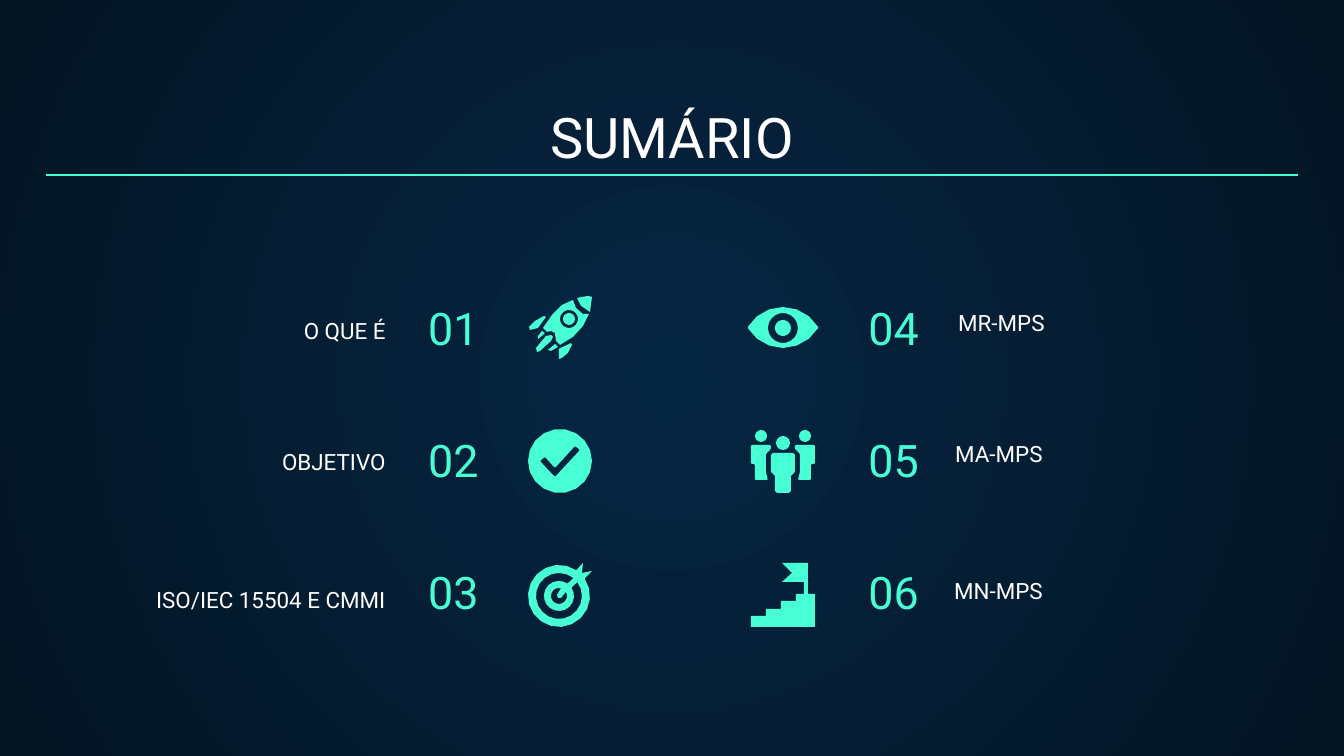
import math

from lxml import etree
from pptx import Presentation
from pptx import util as u
from pptx.dml.color import RGBColor
from pptx.enum import shapes, text
from pptx.oxml.ns import qn

EMU_PER_PX = 914400 / 134.4
FONT = "Roboto"
COLORS = {"center": "052643", "edge": "041523", "accent": "48FFD5", "white": "FFFFFF"}
ROW_TOP, ROW_STEP = 279, 132
PEOPLE_AXIS = 783

# Label text, left, top, width, height
LEFT_LABELS = [
    ("O QUE É", 94, 329, 305, 28),
    ("OBJETIVO", 94, 460, 305, 28),
    ("ISO/IEC 15504 E CMMI", 94, 594, 305, 32),
]
RIGHT_LABELS = [
    ("MR-MPS", 945, 321, 305, 28),
    ("MA-MPS", 942, 452, 305, 28),
    ("MN-MPS", 941, 569, 305, 48),
]


def px(length):
    return u.Emu(round(length * EMU_PER_PX))


def color(name):
    return RGBColor.from_string(COLORS[name])


def paint_background(page):
    """Fill the page with a gradient that spreads from its middle."""
    fill = page.background.fill
    fill.gradient()
    for stop, name in zip(fill.gradient_stops, ("center", "edge")):
        stop.color.rgb = color(name)
    gradient = next(page.element.iter(qn("a:gradFill")))
    gradient.remove(gradient.find(qn("a:lin")))
    spread = etree.SubElement(gradient, qn("a:path"), path="circle")
    etree.SubElement(spread, qn("a:fillToRect"), l="50000", t="50000", r="50000", b="50000")


def write_text(box, words, size=12, shade="white", align="LEFT"):
    frame = box.text_frame
    frame.word_wrap = True
    frame.auto_size = text.MSO_AUTO_SIZE.NONE
    frame.vertical_anchor = text.MSO_ANCHOR.BOTTOM
    for side in ("left", "top", "right", "bottom"):
        setattr(frame, f"margin_{side}", u.Inches(0.1))
    para = frame.paragraphs[0]
    para.alignment = getattr(text.PP_ALIGN, align)
    span = para.add_run()
    span.text = words
    span.font.name = FONT
    span.font.size = u.Pt(size)
    span.font.color.rgb = color(shade)


def add_text(page, words, left, top, width, height, **style):
    box = page.shapes.add_textbox(px(left), px(top), px(width), px(height))
    write_text(box, words, **style)


def add_title(page, words):
    title = page.shapes.title
    title.left, title.top, title.width, title.height = map(px, (46, 94, 1252, 89))
    write_text(title, words, size=30, align="CENTER")


def add_rule(page, left, right, y):
    rule = page.shapes.add_connector(
        shapes.MSO_CONNECTOR.STRAIGHT, px(left), px(y), px(right), px(y))
    rule.line.color.rgb = color("accent")
    rule.line.width = u.Pt(0.75)
    etree.SubElement(rule.element.find(qn("p:spPr")), qn("a:effectLst"))


def arc(x, y, radius, start=0, end=360):
    """Points on an arc; degrees run clockwise from the right."""
    steps = math.ceil(abs(end - start) / 20)
    angles = [math.radians(start + (end - start) * i / steps) for i in range(steps + 1)]
    return [(x + radius * math.cos(a), y + radius * math.sin(a)) for a in angles]


def softened(corners, cut=1):
    """Points of a polygon whose corners are cut off."""
    points = []
    for i, corner in enumerate(corners):
        for other in (corners[i - 1], corners[(i + 1) % len(corners)]):
            share = cut / math.dist(corner, other)
            points.append([c + (o - c) * share for c, o in zip(corner, other)])
    return points


def mirrored(points):
    return [(2 * PEOPLE_AXIS - x, y) for x, y in points]


def paint(shape):
    shape.shadow.inherit = False
    shape.fill.solid()
    shape.fill.fore_color.rgb = color("accent")
    shape.line.fill.background()


def add_disc(target, x, y, radius):
    paint(target.add_shape(shapes.MSO_SHAPE.OVAL, px(x - radius), px(y - radius),
                           px(2 * radius), px(2 * radius)))


def add_outline(target, *contours):
    """Draw one filled shape; inner contours become holes."""
    scaled = [[(px(x), px(y)) for x, y in contour] for contour in contours]
    builder = target.build_freeform(*scaled[0][0], scale=1.0)
    for i, contour in enumerate(scaled):
        if i:
            builder.move_to(*contour[0])
        builder.add_line_segments(contour[1:], close=True)
    paint(builder.convert_to_shape())


def add_target(page):
    x, y = 559, 596
    board = arc(x, y, 31, -34, 304) + [(583, 563), (582, 573), (592, 571)]
    gap = arc(x, y, 23, -37, 309) + arc(x, y, 15, 305, -34)
    bullseye = arc(x, y, 8, -30, 285) + [(557, 595), (558, 598), (561, 598)]
    add_outline(page.shapes, board, gap, bullseye)


def add_rocket(page):
    rocket = page.shapes.add_group_shape().shapes
    small_parts = [
        [(542, 331), (538, 336), (538, 339), (543, 335), (545, 333)],
        [(555, 344), (548, 350), (551, 351), (558, 347)],
        [(551, 335), (546, 336), (536, 348), (537, 352), (540, 351), (551, 341), (553, 337)],
        [(544, 316), (535, 321), (529, 327), (530, 330), (538, 328), (546, 317)],
        [(571, 343), (559, 349), (559, 359), (562, 358), (568, 353), (572, 345)],
        [(577, 298), (581, 306), (590, 312), (592, 297), (588, 296)],
    ]
    body = [(573, 300), (562, 305), (552, 315), (543, 328), (547, 332), (551, 331),
            (555, 333), (556, 341), (560, 345), (573, 337), (583, 326), (589, 314),
            (583, 314), (576, 308)]
    for corners in small_parts:
        add_outline(rocket, corners)
    add_disc(rocket, 569, 319, 6)
    add_outline(rocket, body, arc(569, 319, 9))


def add_check(page):
    tick = [(575, 446), (580, 450), (555, 477), (540, 461), (545, 457), (555, 468)]
    add_outline(page.shapes, arc(560, 461, 32), softened(tick))


def add_people(page):
    people = page.shapes.add_group_shape().shapes
    side_body = softened([(751, 445), (771, 445), (771, 449), (766, 454), (766, 472),
                          (768, 480), (755, 480), (755, 464), (751, 464)])
    half_body = [(771, 453), (771, 474), (775, 474), (775, 493)]
    for body in (side_body, mirrored(side_body),
                 softened(half_body + mirrored(half_body[::-1]), 2)):
        add_outline(people, body)
    for x, y, radius in ((761, 436, 6), (805, 436, 6), (PEOPLE_AXIS, 443, 7)):
        add_disc(people, x, y, radius)


def add_stairs(page):
    add_outline(page.shapes, [
        (782, 563), (792, 573), (782, 582), (804, 582), (804, 594), (796, 594),
        (796, 601), (781, 601), (781, 609), (766, 609), (766, 616), (751, 616),
        (751, 627), (815, 627), (815, 594), (808, 594), (808, 563)])


def add_eye(page):
    lids = arc(783, 348, 41, 211, 329) + arc(783, 307, 41, 31, 149)
    add_outline(page.shapes, lids, arc(783, 328, 15), arc(783, 328, 8))


def main():
    deck = Presentation()
    deck.slide_width, deck.slide_height = px(1344), px(756)
    page = deck.slides.add_slide(deck.slide_layouts[5])
    paint_background(page)
    add_title(page, "SUMÁRIO")
    columns = [(1, 415, "LEFT", LEFT_LABELS, "RIGHT"),
               (4, 759, "RIGHT", RIGHT_LABELS, "LEFT")]
    for first, left, number_align, labels, label_align in columns:
        for row, label in enumerate(labels):
            add_text(page, f"{first + row:02}", left, ROW_TOP + row * ROW_STEP, 173, 89,
                     size=24, shade="accent", align=number_align)
            add_text(page, *label, align=label_align)
    for add_icon in (add_target, add_rocket, add_check, add_people, add_stairs, add_eye):
        add_icon(page)
    add_rule(page, 46, 1298, 175)
    deck.save("out.pptx")


if __name__ == "__main__":
    main()
